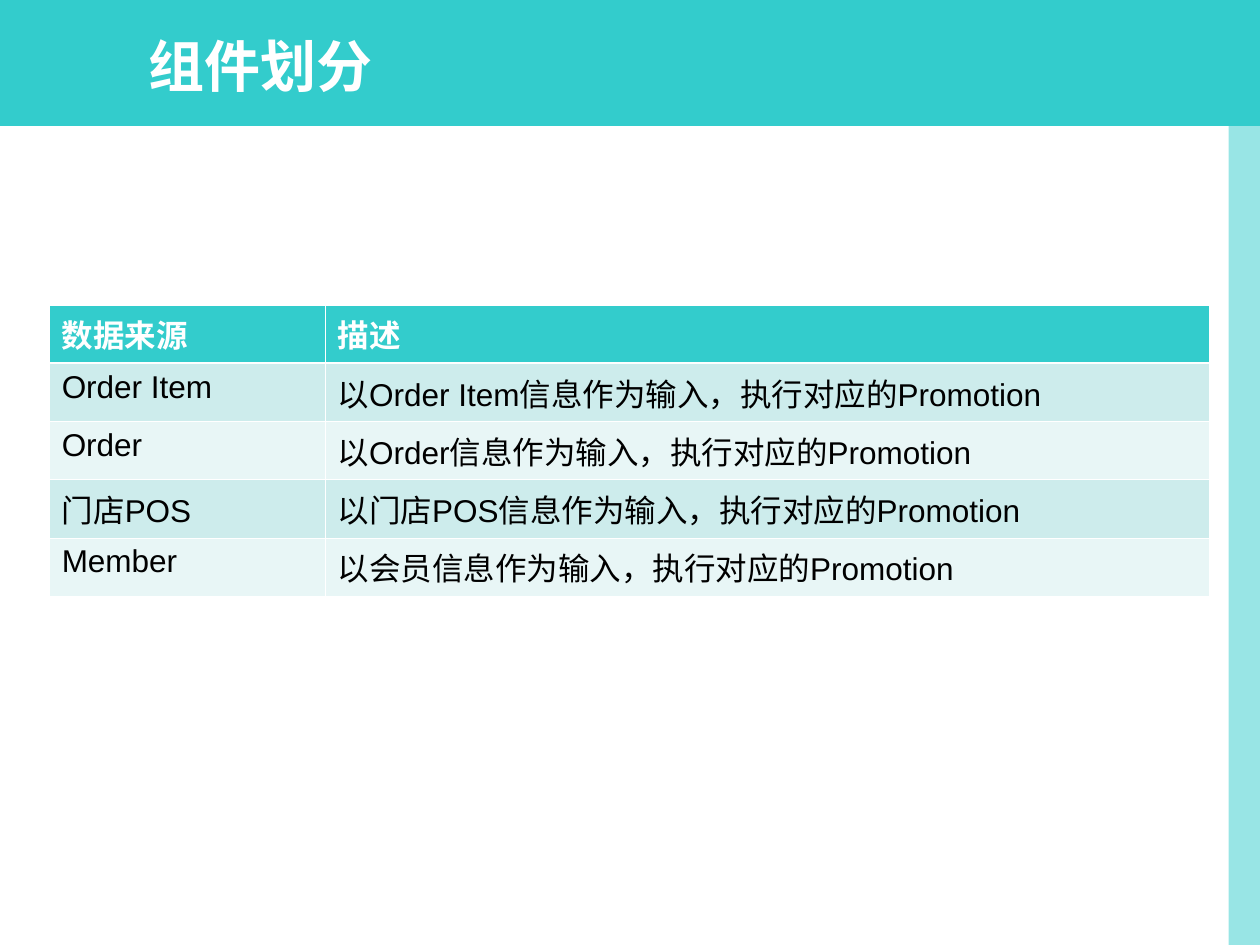
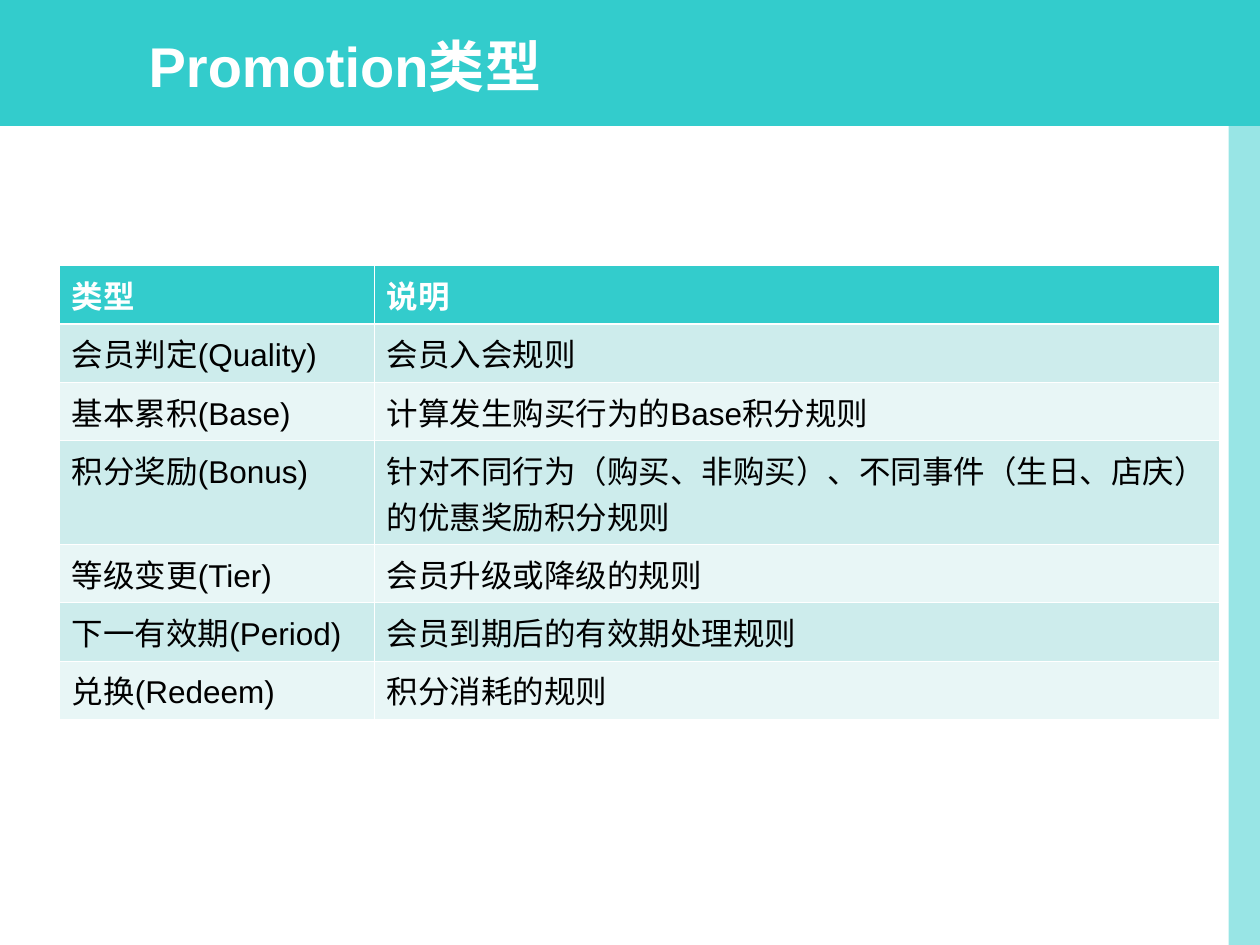
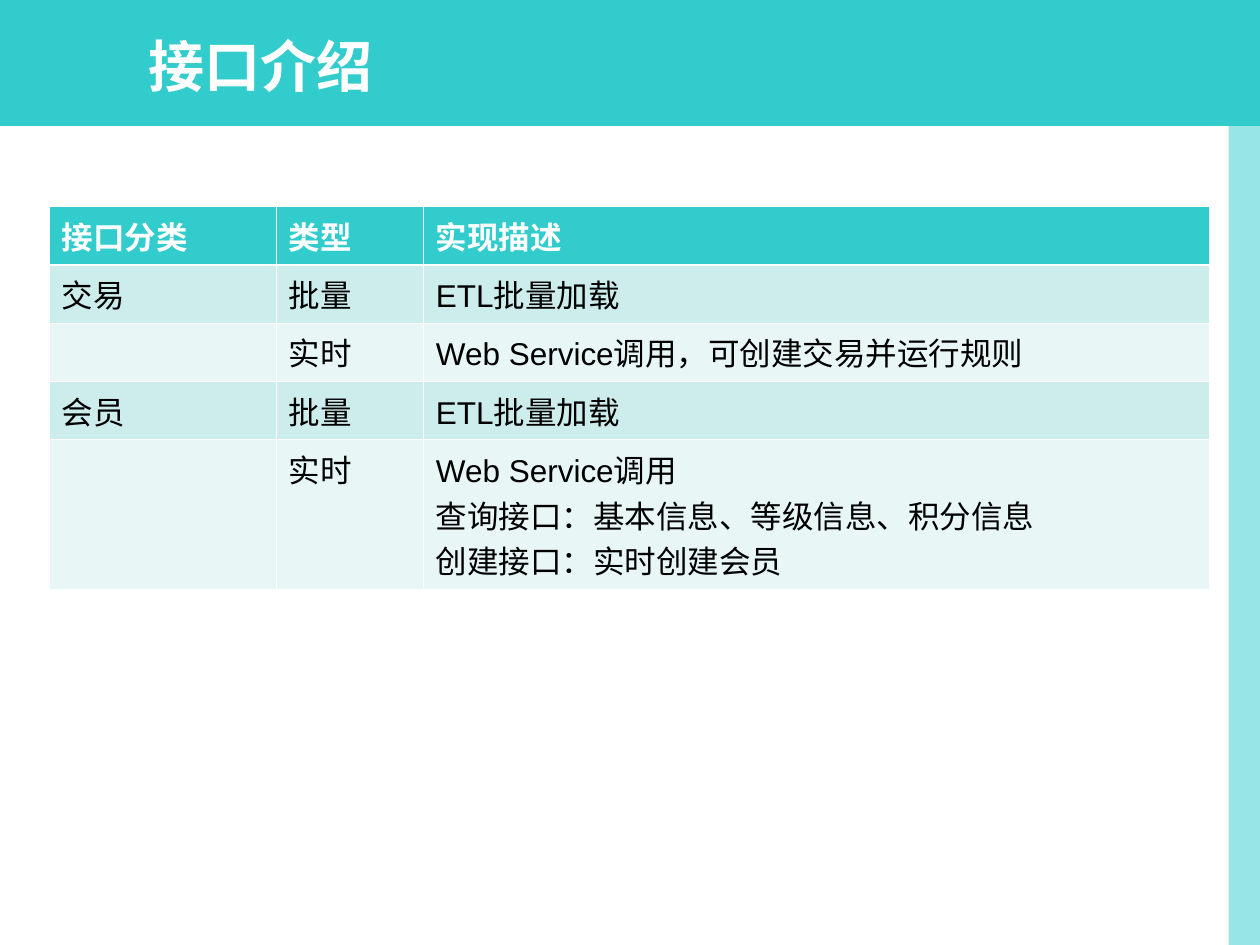
from lxml.etree import SubElement
from pptx import Presentation
from pptx.dml.color import RGBColor
from pptx.enum.lang import MSO_LANGUAGE_ID as Language
from pptx.enum.shapes import MSO_SHAPE as Shape
from pptx.enum.text import MSO_ANCHOR as Anchor, MSO_AUTO_SIZE as AutoSize, PP_ALIGN as Align
from pptx.oxml import parse_xml
from pptx.oxml.ns import nsdecls, qn
from pptx.util import Inches, Pt

TEAL = RGBColor(0x33, 0xCC, 0xCC)
PALE_TEAL = RGBColor(0xCD, 0xEC, 0xEC)
MIST = RGBColor(0xE8, 0xF6, 0xF6)
WHITE = RGBColor(0xFF, 0xFF, 0xFF)
BLACK = RGBColor(0, 0, 0)

FONT = "Arial"
THIN, THICK = Pt(0.45), Pt(1.47)
TITLE_ONLY = 5

TABLES = [
    dict(
        title="组件划分", left=0.39, top=2.42,
        widths=[2.19, 7.02], heights=[0.44] * 5,
        rows=[
            ["数据来源", "描述"],
            ["Order Item", "以Order Item信息作为输入，执行对应的Promotion"],
            ["Order", "以Order信息作为输入，执行对应的Promotion"],
            ["门店POS", "以门店POS信息作为输入，执行对应的Promotion"],
            ["Member", "以会员信息作为输入，执行对应的Promotion"],
        ],
    ),
    dict(
        title="Promotion类型", left=0.47, top=2.11,
        widths=[2.5, 6.71], heights=[0.41, 0.4, 0.41, 0.7, 0.41, 0.4, 0.41],
        rows=[
            ["类型", "说明"],
            ["会员判定(Quality)", "会员入会规则"],
            ["基本累积(Base)", "计算发生购买行为的Base积分规则"],
            ["积分奖励(Bonus)",
             "针对不同行为（购买、非购买）、不同事件（生日、店庆）的优惠奖励积分规则"],
            ["等级变更(Tier)", "会员升级或降级的规则"],
            ["下一有效期(Period)", "会员到期后的有效期处理规则"],
            ["兑换(Redeem)", "积分消耗的规则"],
        ],
    ),
    dict(
        title="接口介绍", left=0.39, top=1.64,
        widths=[1.8, 1.17, 6.24], heights=[0.41, 0.4, 0.41, 0.4, 1],
        rows=[
            ["接口分类", "类型", "实现描述"],
            ["交易", "批量", "ETL批量加载"],
            ["", "实时", "Web Service调用，可创建交易并运行规则"],
            ["会员", "批量", "ETL批量加载"],
            ["", "实时",
             "Web Service调用\n查询接口：基本信息、等级信息、积分信息\n创建接口：实时创建会员"],
        ],
    ),
]


def write_text(frame, text, size=18, color=BLACK, bold=False, shadow=False):
    """Fill a text frame, one paragraph for each line of text."""
    for number, line in enumerate(text.split("\n")):
        paragraph = frame.paragraphs[0] if number == 0 else frame.add_paragraph()
        paragraph.alignment = Align.LEFT
        if not line:
            continue
        run = paragraph.add_run()
        run.text = line
        font = run.font
        font.name, font.size, font.bold = FONT, Pt(size), bold
        font.color.rgb = color
        font.language_id = Language.SIMPLIFIED_CHINESE
        if shadow:
            run.font.fill  # the effect list follows the fill in the run properties
            fill = run._r.rPr.find(qn("a:solidFill"))
            fill.addnext(parse_xml(
                f'<a:effectLst {nsdecls("a")}><a:outerShdw dist="25400" dir="2700000">'
                f'<a:srgbClr val="{BLACK}"/></a:outerShdw></a:effectLst>'))


def set_borders(cell, top, bottom):
    properties = cell._tc.get_or_add_tcPr()
    edges = {"lnL": THIN, "lnR": THIN, "lnT": top, "lnB": bottom}
    for position, (edge, width) in enumerate(edges.items()):
        properties.insert(position, parse_xml(
            f'<a:{edge} {nsdecls("a")} w="{int(width)}"><a:solidFill>'
            f'<a:srgbClr val="{WHITE}"/></a:solidFill></a:{edge}>'))


class Deck:
    def __init__(self):
        self.prs = Presentation()
        self.prs.slide_width, self.prs.slide_height = Inches(10), Inches(7.5)
        self.slide = None

    def new_slide(self, title):
        self.slide = self.prs.slides.add_slide(self.prs.slide_layouts[TITLE_ONLY])
        heading = self.slide.shapes.title
        heading.left, heading.top = Inches(1.08), Inches(0.25)
        heading.width, heading.height = Inches(7.75), Inches(0.53)
        frame = heading.text_frame
        frame.auto_size, frame.word_wrap = AutoSize.NONE, True
        frame.vertical_anchor = Anchor.MIDDLE
        write_text(frame, title, size=32, color=WHITE, bold=True, shadow=True)

    def master_band(self, left, top, width, height, opacity=100):
        """Draw a band on the current slide, then move it behind all slides."""
        band = self.slide.shapes.add_shape(
            Shape.RECTANGLE, Inches(left), Inches(top), Inches(width), Inches(height))
        band.shadow.inherit = False
        band.fill.solid()
        band.fill.fore_color.rgb = TEAL
        band.line.fill.background()
        if opacity < 100:
            color = band.element.spPr.find(qn("a:solidFill"))[0]
            SubElement(color, qn("a:alpha"), val=str(opacity * 1000))
        self.prs.slide_master.shapes.element.insert(2, band.element)

    def table(self, left, top, widths, heights, rows):
        table = self.slide.shapes.add_table(
            len(rows), len(widths), Inches(left), Inches(top),
            Inches(sum(widths)), Inches(sum(heights))).table
        table.first_row = table.horz_banding = False
        for column, width in zip(table.columns, widths):
            column.width = Inches(width)
        for row, height in zip(table.rows, heights):
            row.height = Inches(height)
        for r, texts in enumerate(rows):
            header = r == 0
            for c, text in enumerate(texts):
                cell = table.cell(r, c)
                cell.fill.solid()
                cell.fill.fore_color.rgb = TEAL if header else PALE_TEAL if r % 2 else MIST
                set_borders(cell, top=THICK if r == 1 else THIN,
                            bottom=THICK if header else THIN)
                write_text(cell.text_frame, text, bold=header,
                           color=WHITE if header else BLACK)


def main():
    deck = Deck()
    for content in TABLES:
        deck.new_slide(content["title"])
        if content is TABLES[0]:
            deck.master_band(0, 0, 10, 1)
            deck.master_band(9.75, 1, 0.25, 6.5, opacity=50)
        deck.table(**{key: value for key, value in content.items() if key != "title"})
    deck.prs.save("out.pptx")


if __name__ == "__main__":
    main()
